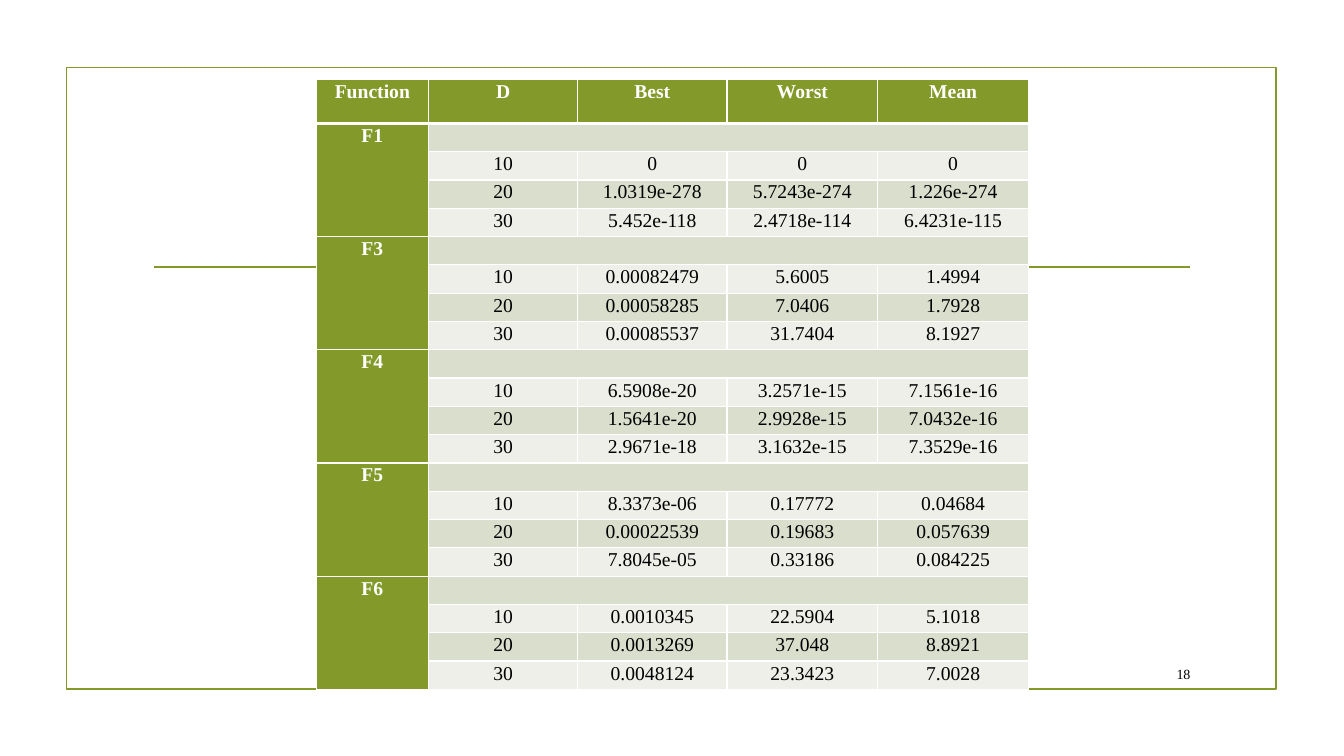
import dataclasses
import typing

import lxml.etree
import pptx
import pptx.dml.color
import pptx.enum.shapes
import pptx.enum.text
import pptx.oxml.ns
import pptx.util

Cm = pptx.util.Cm
Pt = pptx.util.Pt
ALIGN = pptx.enum.text.PP_ALIGN
ANCHOR = pptx.enum.text.MSO_ANCHOR
FONT = "Times New Roman"
GREEN, WHITE, BLACK = "83992A", "FFFFFF", "000000"
BANDS = ("EDEFE8", "D9DECD")
HEADINGS = ("Function", "D", "Best", "Worst", "Mean")
DIMENSIONS = ("10", "20", "30")
COLUMN_WIDTHS = (2.83, 3.76, 3.76, 3.8, 3.8)
TABLE_LEFT, TABLE_TOP, TABLE_HEIGHT = 7.97, 2, 15.37
HEADER_HEIGHT = 1.11


@dataclasses.dataclass(frozen=True)
class Benchmark:
    name: str
    results: tuple[tuple[str, str, str], ...]


BENCHMARKS = (
    Benchmark("F1", (
        ("0", "0", "0"),
        ("1.0319e-278", "5.7243e-274", "1.226e-274"),
        ("5.452e-118", "2.4718e-114", "6.4231e-115"))),
    Benchmark("F3", (
        ("0.00082479", "5.6005", "1.4994"),
        ("0.00058285", "7.0406", "1.7928"),
        ("0.00085537", "31.7404", "8.1927"))),
    Benchmark("F4", (
        ("6.5908e-20", "3.2571e-15", "7.1561e-16"),
        ("1.5641e-20", "2.9928e-15", "7.0432e-16"),
        ("2.9671e-18", "3.1632e-15", "7.3529e-16"))),
    Benchmark("F5", (
        ("8.3373e-06", "0.17772", "0.04684"),
        ("0.00022539", "0.19683", "0.057639"),
        ("7.8045e-05", "0.33186", "0.084225"))),
    Benchmark("F6", (
        ("0.0010345", "22.5904", "5.1018"),
        ("0.0013269", "37.048", "8.8921"),
        ("0.0048124", "23.3423", "7.0028"))),
)
BLOCK = len(DIMENSIONS) + 1


def colour(value: str) -> pptx.dml.color.RGBColor:
    return pptx.dml.color.RGBColor.from_string(value)


def apply(target: typing.Any, values: dict[str, typing.Any]) -> None:
    for name, value in values.items():
        setattr(target, name, value)


def write(frame: typing.Any, text: str, size: float, ink: str,
          alignment: typing.Any, bold: bool = False) -> None:
    para = frame.paragraphs[0]
    para.alignment = alignment
    span = para.add_run()
    span.text = text
    apply(span.font, {"name": FONT, "size": Pt(size), "bold": bold})
    span.font.color.rgb = colour(ink)


def add_frame(page: typing.Any) -> None:
    box = page.shapes.add_shape(pptx.enum.shapes.MSO_SHAPE.RECTANGLE,
                                Cm(1.68), Cm(1.7), Cm(30.48), Cm(15.67))
    box.shadow.inherit = False
    box.fill.background()
    box.line.color.rgb = colour(GREEN)
    box.line.width = Pt(1.25)


def add_rule(page: typing.Any) -> None:
    rule = page.shapes.add_connector(pptx.enum.shapes.MSO_CONNECTOR.STRAIGHT,
                                     Cm(3.89), Cm(6.73), Cm(30), Cm(6.73))
    rule.line.color.rgb = colour(GREEN)
    rule.line.width = Pt(1.25)
    properties = rule.element.find(pptx.oxml.ns.qn("p:spPr"))
    lxml.etree.SubElement(properties, pptx.oxml.ns.qn("a:effectLst"))


def add_page_number(page: typing.Any) -> None:
    box = page.shapes.add_textbox(Cm(28.75), Cm(16.59), Cm(1.5), Cm(0.79))
    apply(box.text_frame, {"word_wrap": True, "vertical_anchor": ANCHOR.MIDDLE})
    write(box.text_frame, "18", 10, BLACK, ALIGN.RIGHT)


def add_borders(cell: typing.Any, widths: dict[str, float]) -> None:
    qn = pptx.oxml.ns.qn
    properties = cell._tc.get_or_add_tcPr()
    for side, width in widths.items():
        edge = lxml.etree.SubElement(properties, qn(f"a:ln{side}"), w=str(Pt(width)))
        fill = lxml.etree.SubElement(edge, qn("a:solidFill"))
        lxml.etree.SubElement(fill, qn("a:srgbClr"), val=WHITE)


def format_cell(cell: typing.Any, text: str, fill: str, ink: str,
                bold: bool, borders: dict[str, float]) -> None:
    apply(cell, {"margin_left": Cm(0.18), "margin_right": Cm(0.18),
                 "margin_top": 0, "margin_bottom": 0})
    add_borders(cell, borders)
    cell.fill.solid()
    cell.fill.fore_color.rgb = colour(fill)
    para = cell.text_frame.paragraphs[0]
    para.line_spacing = 1.07
    if text:
        write(cell.text_frame, text, 14, ink, ALIGN.CENTER, bold)
    else:
        lxml.etree.SubElement(para._p, pptx.oxml.ns.qn("a:endParaRPr"), sz="1400")


def table_rows() -> list[tuple[str, ...]]:
    rows: list[tuple[str, ...]] = [HEADINGS]
    for benchmark in BENCHMARKS:
        rows.append((benchmark.name, "", "", "", ""))
        for dimension, result in zip(DIMENSIONS, benchmark.results):
            rows.append(("", dimension, *result))
    return rows


def add_results(page: typing.Any) -> None:
    rows = table_rows()
    table = page.shapes.add_table(
        len(rows), len(HEADINGS), Cm(TABLE_LEFT), Cm(TABLE_TOP),
        Cm(sum(COLUMN_WIDTHS)), Cm(TABLE_HEIGHT)).table
    for column, width in zip(table.columns, COLUMN_WIDTHS):
        column.width = Cm(width)
    body_height = (TABLE_HEIGHT - HEADER_HEIGHT) / (len(rows) - 1)
    for i, row in enumerate(rows):
        table.rows[i].height = Cm(body_height if i else HEADER_HEIGHT)
        borders = {"L": 1, "R": 1, "T": 3 if i == 1 else 1, "B": 1 if i else 3}
        for j, text in enumerate(row):
            strong = i == 0 or j == 0
            format_cell(table.cell(i, j), text, GREEN if strong else BANDS[i % 2],
                        WHITE if strong else BLACK, strong, borders)
    for top in range(1, len(rows), BLOCK):
        table.cell(top, 0).merge(table.cell(top + BLOCK - 1, 0))
        table.cell(top, 1).merge(table.cell(top, len(HEADINGS) - 1))


def main() -> None:
    deck = pptx.Presentation()
    apply(deck, {"slide_width": Cm(33.87), "slide_height": Cm(19.05)})
    page = deck.slides.add_slide(deck.slide_layouts[6])
    page.background.fill.solid()
    page.background.fill.fore_color.rgb = colour(WHITE)
    add_frame(page)
    add_rule(page)
    add_results(page)
    add_page_number(page)
    deck.save("out.pptx")


if __name__ == "__main__":
    main()
